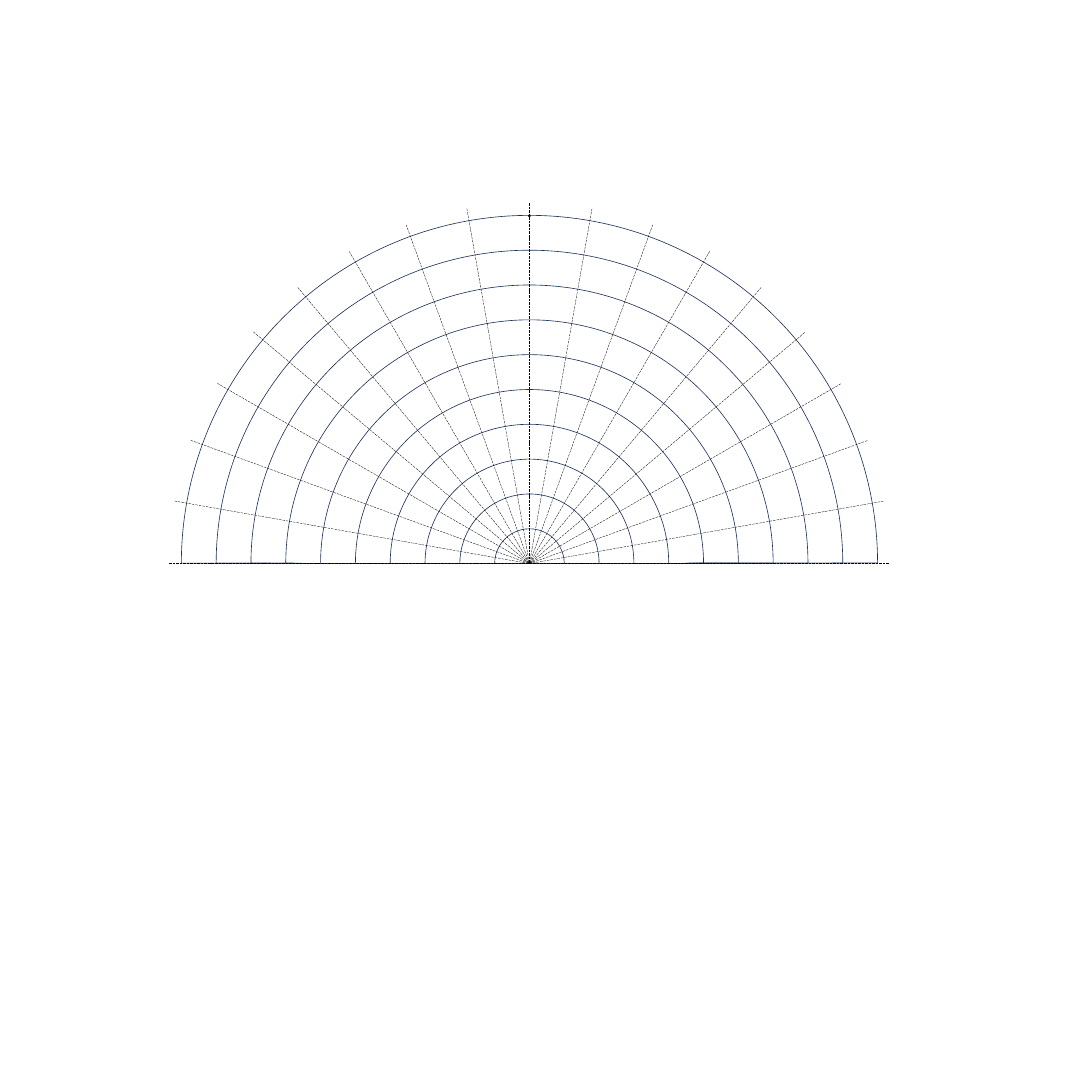
import math

import pptx
import pptx.dml.color
import pptx.enum.dml
import pptx.enum.shapes
import pptx.oxml.ns
import pptx.util
from lxml import etree
from pptx.util import Inches

COLORS = {"arc": "1E3256", "ray": "000000", "dot": "000000"}

CENTER_X, CENTER_Y = 11.68, 12.43
ARC_COUNT = 10
OUTER_RADIUS = 7.68
RAY_LENGTH = 7.95
RAY_STEP = 10  # degrees


def color(name):
    return pptx.dml.color.RGBColor.from_string(COLORS[name])


def set_line(line, name, width):
    line.color.rgb = color(name)
    line.width = pptx.util.Pt(width)


def add_round_shape(shapes, kind, x, y, radius, line_name):
    """Add an outlined shape centred on x, y."""
    size = Inches(2 * radius)
    shape = shapes.add_shape(
        kind, Inches(x - radius), Inches(y - radius), size, size)
    shape.shadow.inherit = False
    set_line(shape.line, line_name, 1)
    return shape


def add_arc(shapes, radius):
    """Add an upper half circle about the grid centre."""
    arc = add_round_shape(shapes, pptx.enum.shapes.MSO_SHAPE.PIE,
                          CENTER_X, CENTER_Y, radius, "arc")
    arc.adjustments[0] = 54.04
    arc.adjustments[1] = 161.94
    arc.rotation = 90
    arc.fill.background()


def add_ray(shapes, start, end):
    ray = shapes.add_connector(
        pptx.enum.shapes.MSO_CONNECTOR.STRAIGHT,
        *(Inches(value) for value in (*start, *end)))
    set_line(ray.line, "ray", 0.5)
    ray.line.dash_style = pptx.enum.dml.MSO_LINE.LONG_DASH
    etree.SubElement(ray._element.spPr, pptx.oxml.ns.qn("a:effectLst"))


def rim_point(degrees):
    """Outer end of a ray, with the angle measured clockwise from the left."""
    angle = math.radians(degrees)
    return (CENTER_X - RAY_LENGTH * math.cos(angle),
            CENTER_Y - RAY_LENGTH * math.sin(angle))


def main():
    prs = pptx.Presentation()
    prs.slide_width = Inches(24.09)
    prs.slide_height = Inches(23.62)
    slide = prs.slides.add_slide(prs.slide_layouts[6])

    # Concentric half circles, from the outside in
    arcs = slide.shapes.add_group_shape().shapes
    for ring in range(ARC_COUNT, 0, -1):
        add_arc(arcs, OUTER_RADIUS * ring / ARC_COUNT)

    # Baseline and dashed rays; the lowest right-hand rays start at the centre
    rays = slide.shapes.add_group_shape().shapes
    center = (CENTER_X, CENTER_Y)
    add_ray(rays, rim_point(0), rim_point(180))
    for degrees in range(RAY_STEP, 180, RAY_STEP):
        ends = [rim_point(degrees), center]
        if degrees > 130:
            ends.reverse()
        add_ray(rays, *ends)

    # Dot at the top of the outer arc
    dot = add_round_shape(slide.shapes, pptx.enum.shapes.MSO_SHAPE.OVAL,
                          CENTER_X, CENTER_Y - OUTER_RADIUS + 0.01, 0.02, "dot")
    dot.fill.solid()
    dot.fill.fore_color.rgb = color("dot")

    prs.save("out.pptx")


main()
